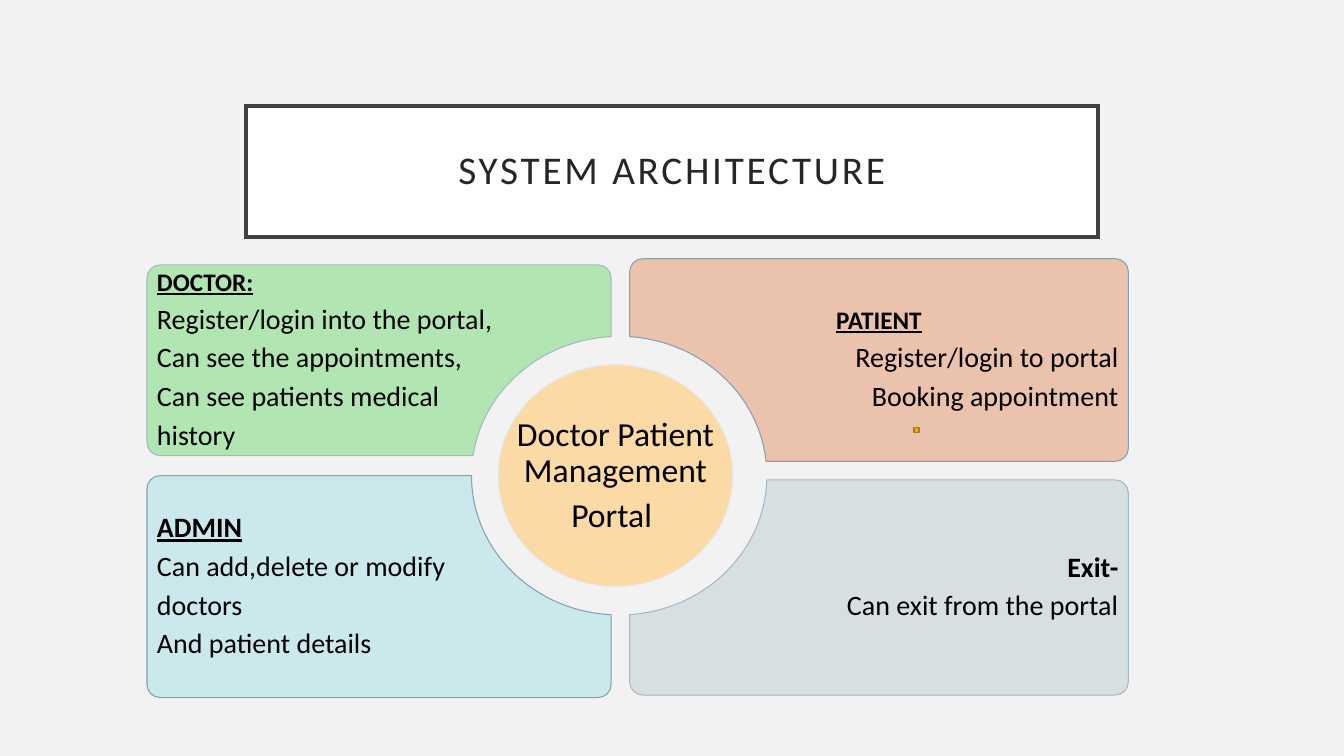
import math

import pptx
import pptx.util
import pptx.dml.color
import pptx.enum.shapes
import pptx.enum.text
import pptx.oxml.ns

Pt = pptx.util.Pt
qn = pptx.oxml.ns.qn
ALIGN = pptx.enum.text.PP_ALIGN
FONT = "Calibri"
RING_CENTRE = (442.3, 339.8)
RING_RADII = (105.5, 99.5)
CORNER = 9.4
QUARTER = math.pi / 2
HEADING = {"bold": True, "underline": True}


def color(value):
    return pptx.dml.color.RGBColor.from_string(value)


def paint(shape, fill, line, width):
    shape.shadow.inherit = False
    shape.fill.solid()
    shape.fill.fore_color.rgb = color(fill)
    shape.line.color.rgb = color(line)
    shape.line.width = Pt(width)


def write(shape, paragraphs, ink="000000", inset=7.2, after=6):
    """Fill a shape with (text, size, alignment, font options) paragraphs."""
    frame = shape.text_frame
    frame.word_wrap = True
    frame.vertical_anchor = pptx.enum.text.MSO_ANCHOR.MIDDLE
    frame.margin_left = frame.margin_right = Pt(inset)
    frame.margin_top = frame.margin_bottom = Pt(inset)
    for index, (text, size, align, options) in enumerate(paragraphs):
        paragraph = frame.paragraphs[0] if index == 0 else frame.add_paragraph()
        paragraph.text = text
        paragraph.alignment = align
        paragraph.line_spacing = 0.9
        paragraph.space_after = Pt(after)
        paragraph.font.name = FONT
        paragraph.font.size = Pt(size)
        paragraph.font.color.rgb = color(ink)
        for option, value in options.items():
            setattr(paragraph.font, option, value)


def curve(centre, radii, start, end):
    """Bezier for an elliptic arc: its first point, then the other three."""
    pull = 4 / 3 * math.tan((end - start) / 4)

    def at(angle, lean):
        x = math.cos(angle) - lean * math.sin(angle)
        y = math.sin(angle) + lean * math.cos(angle)
        return centre[0] + radii[0] * x, centre[1] + radii[1] * y

    return at(start, 0), (at(start, pull), at(end, -pull), at(end, 0))


def outline(slide, start, steps):
    """Closed shape; a step of one point is a line, of three a curve."""
    builder = slide.shapes.build_freeform(Pt(start[0]), Pt(start[1]), scale=1.0)
    builder.add_line_segments([(Pt(x), Pt(y)) for step in steps for x, y in step],
                              close=True)
    shape = builder.convert_to_shape()

    # Join each run of three points into one curve
    track = shape._element.find(".//" + qn("a:path"))
    nodes = iter(track.findall(qn("a:lnTo")))
    for step in steps:
        group = [next(nodes) for _ in step]
        if len(group) == 3:
            bezier = track.makeelement(qn("a:cubicBezTo"))
            group[0].addprevious(bezier)
            for node in group:
                bezier.append(node[0])
                track.remove(node)
    return shape


def title_box(slide, left, top, width, height, text):
    box = slide.shapes.add_shape(pptx.enum.shapes.MSO_SHAPE.RECTANGLE,
                                 Pt(left), Pt(top), Pt(width), Pt(height))
    paint(box, "FFFFFF", "404040", 2.5)
    border = box._element.spPr.find(qn("a:ln"))
    border.append(border.makeelement(qn("a:miter"), {"lim": "800000"}))
    write(box, [(text, 28, ALIGN.CENTER, {})], "262626", 14.4, 0)
    box.text_frame.paragraphs[0].runs[0].font._element.set("spc", "200")


def role_panel(slide, left, top, right, bottom, fill, line, paragraphs):
    """Rounded panel whose corner nearest the ring is cut by the ring."""
    cx, cy = RING_CENTRE
    dx = -1 if left < cx else 1
    dy = -1 if top < cy - CORNER else 1
    inner_x, outer_x = (right, left) if dx < 0 else (left, right)
    inner_y, outer_y = (bottom, top) if dy < 0 else (top, bottom)
    rx, ry = RING_RADII

    # Ring cut, from the vertical inner edge to the horizontal one
    start, cut = curve(RING_CENTRE, (dx * rx, dy * ry),
                       math.acos((inner_x - cx) * dx / rx),
                       math.asin((inner_y - cy) * dy / ry))
    steps = [cut]

    # The three rounded corners
    for x, y, sx, sy, first, last in (
            (outer_x, inner_y, dx, -dy, QUARTER, 0),
            (outer_x, outer_y, dx, dy, 0, QUARTER),
            (inner_x, outer_y, -dx, dy, QUARTER, 0)):
        entry, bend = curve((x - sx * CORNER, y - sy * CORNER),
                            (sx * CORNER, sy * CORNER), first, last)
        steps += [(entry,), bend]

    panel = outline(slide, start, steps)
    paint(panel, fill, line, 0.75)
    write(panel, paragraphs)


def portal_hub(slide, left, top, width, height, lines):
    radii = (width / 2, height / 2)
    centre = (left + radii[0], top + radii[1])
    arcs = [curve(centre, radii, i * QUARTER, (i + 1) * QUARTER)
            for i in range(4)]
    hub = outline(slide, arcs[0][0], [bend for _, bend in arcs])
    paint(hub, "FBDAA5", "E3E9ED", 0.75)
    write(hub, [(line, 24, ALIGN.CENTER, {}) for line in lines])


def marker(slide, left, top, side):
    square = slide.shapes.add_shape(pptx.enum.shapes.MSO_SHAPE.RECTANGLE,
                                    Pt(left), Pt(top), Pt(side), Pt(side))
    paint(square, "F6A21D", "B67815", 1)


def body(align, *lines):
    return [(line, 20, align, {}) for line in lines]


def main():
    deck = pptx.Presentation()
    deck.slide_width, deck.slide_height = Pt(960), Pt(540)
    slide = deck.slides.add_slide(deck.slide_layouts[6])
    slide.background.fill.solid()
    slide.background.fill.fore_color.rgb = color("F2F2F2")

    title_box(slide, 175.7, 75.9, 608.6, 93.6, "SYSTEM ARCHITECTURE")

    # Roles and the hub between them
    role_panel(slide, 105, 189.2, 436.5, 325.4, "B1E5B1", "A5B7C5",
               [("DOCTOR:", 18, ALIGN.LEFT, HEADING)]
               + body(ALIGN.LEFT, "Register/login into the portal,",
                      "Can see the appointments,",
                      "Can see patients medical", "history"))
    role_panel(slide, 105, 339.8, 436.5, 498.3, "CBE9ED", "869FB1",
               [("ADMIN", 20, ALIGN.LEFT, HEADING)]
               + body(ALIGN.LEFT, "Can add,delete or modify", "doctors",
                      "And patient details"))
    role_panel(slide, 449.8, 184.8, 806, 329.6, "EBC2AB", "869FB1",
               [("PATIENT", 18, ALIGN.CENTER, HEADING)]
               + body(ALIGN.RIGHT, "Register/login to portal",
                      "Booking appointment"))
    portal_hub(slide, 355.8, 260.6, 167.6, 158.4,
               ["Doctor Patient Management", "Portal "])
    marker(slide, 653, 305.4, 3.4)
    role_panel(slide, 449.8, 342.8, 806, 496.5, "D7DFE1", "A5B7C5",
               [("Exit-", 20, ALIGN.RIGHT, {"bold": True})]
               + body(ALIGN.RIGHT, "Can exit from the portal"))

    deck.save("out.pptx")


if __name__ == "__main__":
    main()
